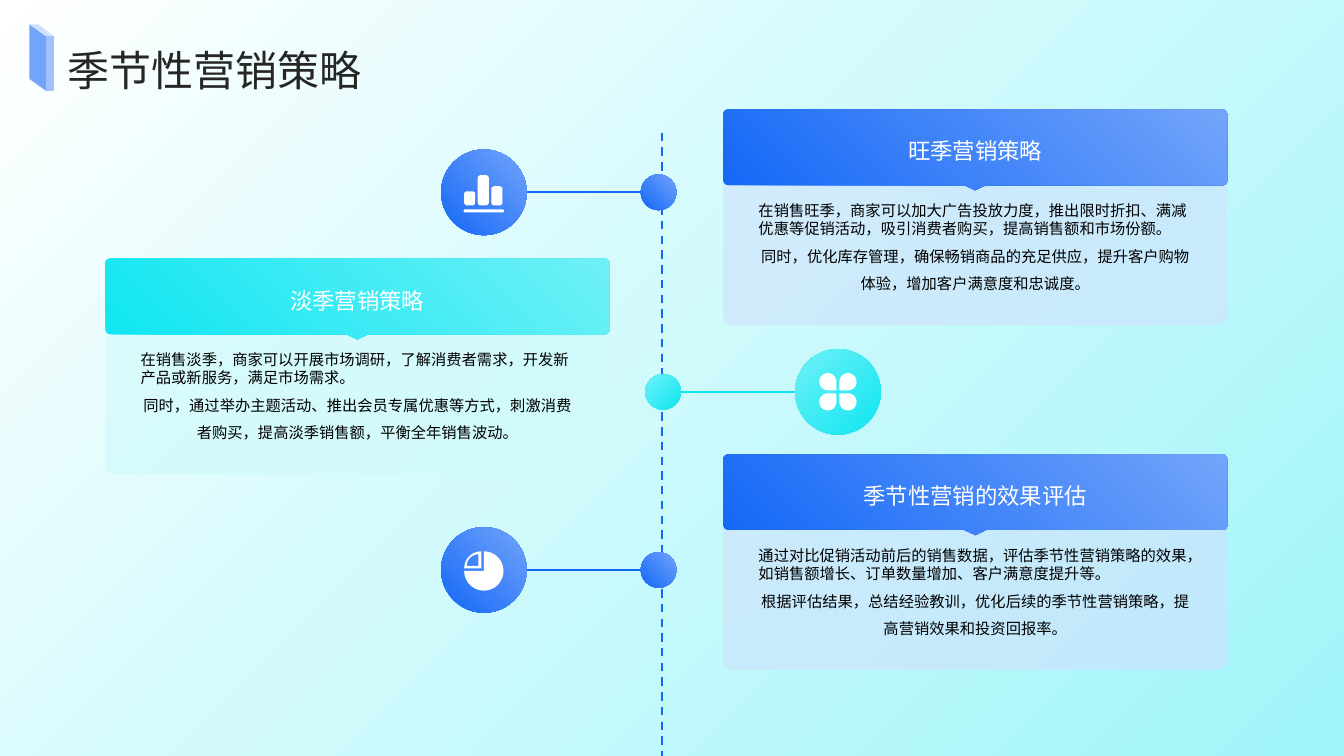
from dataclasses import dataclass
from math import cos, radians, sin

from lxml.etree import SubElement
from pptx import Presentation
from pptx.dml.color import RGBColor
from pptx.dml.fill import FillFormat
from pptx.enum.dml import MSO_LINE
from pptx.enum.shapes import MSO_CONNECTOR, MSO_SHAPE
from pptx.enum.text import MSO_ANCHOR, MSO_AUTO_SIZE, PP_ALIGN
from pptx.oxml.ns import qn
from pptx.shapes.autoshape import Shape
from pptx.slide import Slide
from pptx.text.text import TextFrame
from pptx.util import Emu, Inches, Pt

SLIDE_WIDTH = Inches(40 / 3)
SLIDE_HEIGHT = Inches(7.5)
COLUMNS, ROWS = 160, 90
FONT = "Noto Sans CJK SC"
AXIS_COLUMN = 78.8
ICON_SIZE, DOT_SIZE = 10.2, 4.25
CARD_WIDTH, PANEL_HEIGHT = 60, 22.9
HEADER_HEIGHT, POINTER_HEIGHT, CORNER = 9, 0.6, 0.6

Contour = list[tuple[float, float]]


@dataclass(frozen=True)
class Palette:
    dark: str
    light: str
    panel: str


@dataclass(frozen=True)
class Season:
    heading: str
    advice: tuple[str, str]
    palette: Palette
    card_left: float
    card_top: float
    icon_column: float
    dot_column: float
    row: float
    angle: int
    icon: list[Contour]


def across(columns: float) -> Emu:
    return Emu(round(SLIDE_WIDTH * columns / COLUMNS))


def down(rows: float) -> Emu:
    return Emu(round(SLIDE_HEIGHT * rows / ROWS))


def cell(left: float, top: float, width: float, height: float) -> tuple[Emu, Emu, Emu, Emu]:
    return across(left), down(top), across(width), down(height)


def color(value: str) -> RGBColor:
    return RGBColor.from_string(value)


def arc(x: float, y: float, radius: float, start: int, end: int) -> Contour:
    steps = abs(end - start) // 10
    angles = [radians(start + (end - start) * step / steps) for step in range(steps + 1)]
    return [(x + radius * cos(angle), y + radius * sin(angle)) for angle in angles]


def rounded_box(left: float, top: float, width: float, height: float,
                radii: tuple[float, float, float, float]) -> Contour:
    right, bottom = left + width, top + height
    top_left, top_right, bottom_right, bottom_left = radii
    return (arc(left + top_left, top + top_left, top_left, 180, 270)
            + arc(right - top_right, top + top_right, top_right, 270, 360)
            + arc(right - bottom_right, bottom - bottom_right, bottom_right, 0, 90)
            + arc(left + bottom_left, bottom - bottom_left, bottom_left, 90, 180))


def bars_icon() -> list[Contour]:
    bars = [rounded_box(-2.34 + 1.62 * index, top, 1.32, 1.56 - top, (0.36,) * 4)
            for index, top in enumerate((-0.12, -2.04, -0.72))]
    return bars + [rounded_box(-2.4, 2.04, 4.8, 0.36, (0.18,) * 4)]


def petals_icon() -> list[Contour]:
    corners = ((-2.22, -2.22), (0.18, -2.22), (0.18, 0.18), (-2.22, 0.18))
    petals = []
    for index, (left, top) in enumerate(corners):
        radii = [1.02] * 4
        radii[(index + 2) % 4] = 0.1
        petals.append(rounded_box(left, top, 2.04, 2.04, tuple(radii)))
    return petals


def pie_icon() -> list[Contour]:
    slices = ((0, 0.12, 2.34, 180, -90), (-0.3, -0.18, 2.04, 180, 270),
              (-0.66, -0.48, 1.38, 270, 180))
    return [[(x, y)] + arc(x, y, radius, start, end) for x, y, radius, start, end in slices]


def header_outline() -> list[Contour]:
    box = rounded_box(0, 0, CARD_WIDTH, HEADER_HEIGHT, (CORNER,) * 4)
    middle = CARD_WIDTH / 2
    pointer = [(middle + 1.26, HEADER_HEIGHT), (middle, HEADER_HEIGHT + POINTER_HEIGHT),
               (middle - 1.26, HEADER_HEIGHT)]
    half = len(box) * 3 // 4
    return [box[:half] + pointer + box[half:]]


def paint_gradient(fill: FillFormat, start: str, end: str, angle: int) -> None:
    fill.gradient()
    fill.gradient_angle = angle
    for stop, value in zip(fill.gradient_stops, (start, end)):
        stop.color.rgb = color(value)


def paint_solid(shape: Shape, value: str) -> None:
    shape.fill.solid()
    shape.fill.fore_color.rgb = color(value)


def strip(shape: Shape) -> Shape:
    shape.shadow.inherit = False
    shape.line.fill.background()
    return shape


def add_outline(slide: Slide, contours: list[Contour], left: float = 0, top: float = 0) -> Shape:
    placed = [[(across(left + x), down(top + y)) for x, y in contour] for contour in contours]
    builder = slide.shapes.build_freeform(*placed[0][0], scale=1.0)
    for index, points in enumerate(placed):
        if index:
            builder.move_to(*points[0])
        builder.add_line_segments(points[1:], close=True)
    return strip(builder.convert_to_shape())


def add_line(slide: Slide, start: tuple[float, float], end: tuple[float, float],
             value: str, dashed: bool = False) -> None:
    connector = slide.shapes.add_connector(MSO_CONNECTOR.STRAIGHT, across(start[0]),
                                           down(start[1]), across(end[0]), down(end[1]))
    connector.line.color.rgb = color(value)
    connector.line.width = Pt(1.5)
    if dashed:
        connector.line.dash_style = MSO_LINE.DASH
    SubElement(connector._element.spPr, qn("a:effectLst"))


def add_circle(slide: Slide, column: float, row: float, size: float, season: Season) -> None:
    circle = strip(slide.shapes.add_shape(
        MSO_SHAPE.OVAL, *cell(column - size / 2, row - size / 2, size, size)))
    paint_gradient(circle.fill, season.palette.dark, season.palette.light, season.angle)


def write(frame: TextFrame, lines: tuple[str, ...], size: float, value: str,
          styles: tuple[tuple[PP_ALIGN, float], ...], anchor: MSO_ANCHOR = MSO_ANCHOR.TOP) -> None:
    frame.word_wrap = True
    frame.auto_size = MSO_AUTO_SIZE.NONE
    frame.vertical_anchor = anchor
    frame.margin_left = frame.margin_top = frame.margin_right = frame.margin_bottom = 0
    frame.text = "\n".join(lines)
    for paragraph, (alignment, spacing) in zip(frame.paragraphs, styles):
        paragraph.alignment = alignment
        paragraph.line_spacing = spacing
        paragraph.font.size = Pt(size)
        paragraph.font.color.rgb = color(value)
        paragraph.font.name = FONT
        SubElement(paragraph._p.pPr.find(qn("a:defRPr")), qn("a:ea"), typeface=FONT)


def add_title(slide: Slide) -> None:
    faces = (("72A4FA", [(3.5, 2.9), (5.45, 4.3), (5.45, 10.8), (3.5, 9.4)]),
             ("D0E1FD", [(3.5, 2.9), (4.56, 2.9), (6.4, 4.3), (5.45, 4.3)]),
             ("A1C2FC", [(5.45, 4.3), (6.4, 4.3), (6.4, 10.8), (5.45, 10.8)]))
    for value, corners in faces:
        paint_solid(add_outline(slide, [corners]), value)
    title = slide.shapes.title
    title.left, title.top, title.width, title.height = cell(8.04, 4.68, 141.84, 6)
    write(title.text_frame, ("季节性营销策略",), 30, "262626", ((PP_ALIGN.LEFT, 1.1),))


def add_milestone(slide: Slide, season: Season) -> None:
    add_line(slide, (season.dot_column, season.row), (season.icon_column, season.row),
             season.palette.dark)
    add_circle(slide, season.dot_column, season.row, DOT_SIZE, season)
    add_circle(slide, season.icon_column, season.row, ICON_SIZE, season)
    paint_solid(add_outline(slide, season.icon, season.icon_column, season.row), "FFFFFF")


def add_card(slide: Slide, season: Season) -> None:
    left, top, palette = season.card_left, season.card_top, season.palette
    panel = strip(slide.shapes.add_shape(
        MSO_SHAPE.ROUNDED_RECTANGLE, *cell(left, top + 2.76, CARD_WIDTH, PANEL_HEIGHT)))
    panel.adjustments[0] = 0.047
    paint_solid(panel, palette.panel)
    SubElement(panel._element.spPr.find(f".//{qn('a:srgbClr')}"), qn("a:alpha"), val="60000")
    header = add_outline(slide, header_outline(), left, top)
    paint_gradient(header.fill, palette.dark, palette.light, 45)
    heading = slide.shapes.add_textbox(*cell(left + 4.2, top + 0.9, 51.6, 7.08))
    write(heading.text_frame, (season.heading,), 16, "FFFFFF",
          ((PP_ALIGN.CENTER, 1.3),), MSO_ANCHOR.MIDDLE)
    advice = slide.shapes.add_textbox(*cell(left + 4.2, top + 10.9, 51.6, 12.96))
    write(advice.text_frame, season.advice, 10.9, "000000",
          ((PP_ALIGN.LEFT, 1.0), (PP_ALIGN.CENTER, 1.5)))


BLUE = Palette("1467F7", "72A4FA", "D0E1FD")
CYAN = Palette("0FE6F1", "6FF0F7", "CFFAFC")
SEASONS = (
    Season("旺季营销策略",
           ("在销售旺季，商家可以加大广告投放力度，推出限时折扣、满减优惠等促销活动，吸引消费者购买，提高销售额和市场份额。",
            "同时，优化库存管理，确保畅销商品的充足供应，提升客户购物体验，增加客户满意度和忠诚度。"),
           BLUE, 86.1, 13.05, 57.6, 78.4, 22.9, 45, bars_icon()),
    Season("淡季营销策略",
           ("在销售淡季，商家可以开展市场调研，了解消费者需求，开发新产品或新服务，满足市场需求。",
            "同时，通过举办主题活动、推出会员专属优惠等方式，刺激消费者购买，提高淡季销售额，平衡全年销售波动。"),
           CYAN, 12.55, 30.8, 99.76, 78.95, 46.65, 135, petals_icon()),
    Season("季节性营销的效果评估",
           ("通过对比促销活动前后的销售数据，评估季节性营销策略的效果，如销售额增长、订单数量增加、客户满意度提升等。",
            "根据评估结果，总结经验教训，优化后续的季节性营销策略，提高营销效果和投资回报率。"),
           BLUE, 86.1, 54.1, 57.6, 78.4, 67.85, 45, pie_icon()),
)


def main() -> None:
    presentation = Presentation()
    presentation.slide_width, presentation.slide_height = SLIDE_WIDTH, SLIDE_HEIGHT
    slide = presentation.slides.add_slide(presentation.slide_layouts[5])
    paint_gradient(slide.background.fill, "FFFFFF", "9FF5F9", 315)
    add_title(slide)
    add_line(slide, (AXIS_COLUMN, 15.8), (AXIS_COLUMN, ROWS), BLUE.dark, dashed=True)
    for season in SEASONS:
        add_milestone(slide, season)
        add_card(slide, season)
    presentation.save("out.pptx")


if __name__ == "__main__":
    main()
